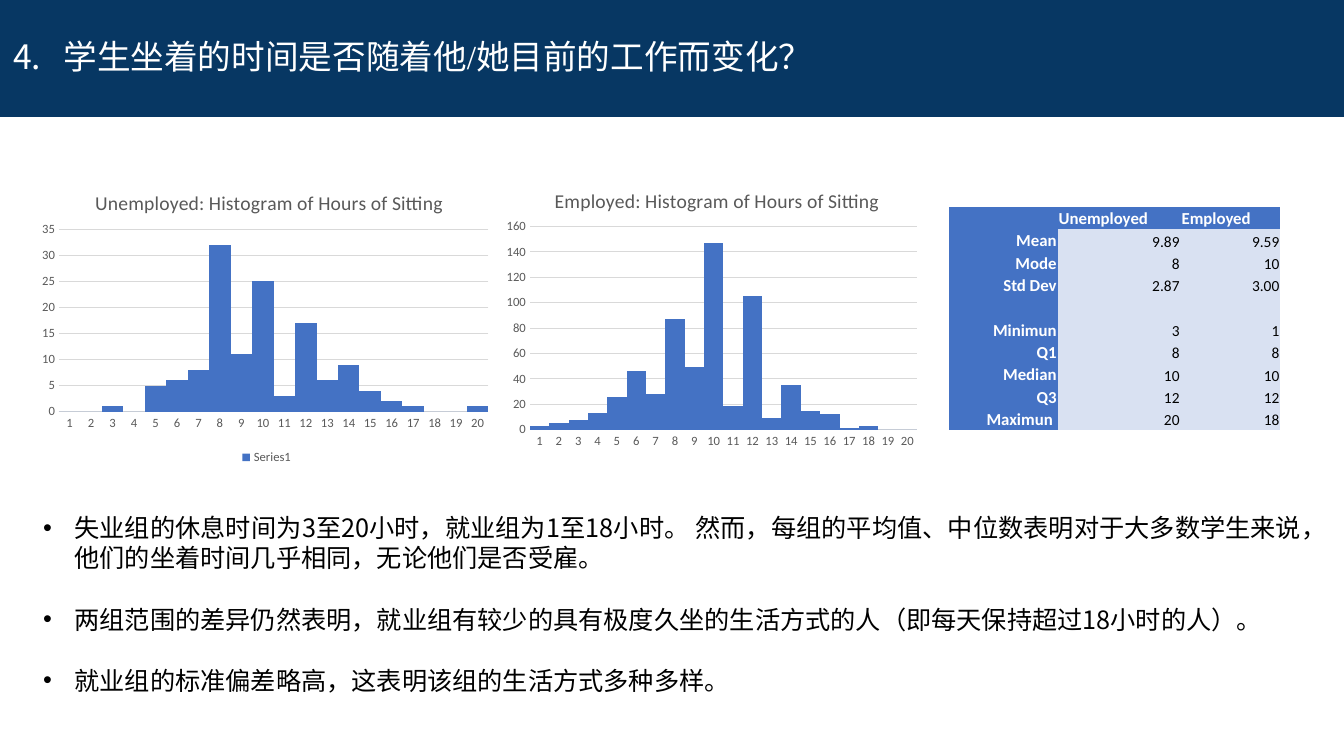
import pptx
import pptx.chart.data
import pptx.dml.color
import pptx.enum.chart
import pptx.enum.text
import pptx.oxml
import pptx.oxml.ns
import pptx.util
from lxml import etree

RGB = pptx.dml.color.RGBColor
NAVY, BLUE, PALE = RGB(0x07, 0x37, 0x63), RGB(0x44, 0x72, 0xC4), RGB(0xD9, 0xE1, 0xF2)
WHITE, BLACK = RGB(0xFF, 0xFF, 0xFF), RGB(0, 0, 0)
GREY, RULE = RGB(0x59, 0x59, 0x59), RGB(0xD9, 0xD9, 0xD9)
SANS, CJK, SERIF = "Calibri", "Noto Sans CJK SC", "Times New Roman"
In, Pt, qn = pptx.util.Inches, pptx.util.Pt, pptx.oxml.ns.qn
ALIGN = pptx.enum.text.PP_ALIGN
ANCHOR = pptx.enum.text.MSO_ANCHOR

# Content
TITLE = "学生坐着的时间是否随着他/她目前的工作而变化？"
FINDINGS = [
    "失业组的休息时间为3至20小时，就业组为1至18小时。 然而，每组的平均值、中位数表明对于大多数学生来说，他们的坐着时间几乎相同，无论他们是否受雇。",
    "两组范围的差异仍然表明，就业组有较少的具有极度久坐的生活方式的人（即每天保持超过18小时的人）。",
    "就业组的标准偏差略高，这表明该组的生活方式多种多样。",
]
HISTOGRAMS = [
    dict(title="Unemployed: Histogram of Hours of Sitting", name="Series1",
         values=[0, 0, 1, 0, 5, 6, 8, 32, 11, 25, 3, 17, 6, 9, 4, 2, 1, 0, 0, 1],
         box=(0.33, 1.68, 4.63, 2.97), top=35, step=5, legend=True,
         title_at=(0.125, 0.055), plot_at=(0.055, 0.2, 0.92, 0.61)),
    dict(title="Employed: Histogram of Hours of Sitting", name="Series 1",
         values=[3, 5, 8, 13, 26, 46, 28, 87, 49, 147, 19, 105, 9, 35, 15, 12, 1, 3, 0, 0],
         box=(4.96, 1.68, 4.22, 2.84), top=160, step=20, legend=False,
         title_at=(0.12, 0.05), plot_at=(0.07, 0.2, 0.91, 0.71)),
]
STATS = [
    ("", "Unemployed", "Employed"),
    ("Mean", "9.89", "9.59"),
    ("Mode", "8", "10"),
    ("Std Dev", "2.87", "3.00"),
    ("", "", ""),
    ("Minimun", "3", "1"),
    ("Q1", "8", "8"),
    ("Median", "10", "10"),
    ("Q3", "12", "12"),
    ("Maximun ", "20", "18"),
]
STAT_COLS, STAT_ROW = (1.08, 1.22, 0.99), 0.222


def set_font(font, **values):
    color = values.pop("color")
    for key, value in values.items():
        setattr(font, key, value)
    font.color.rgb = color


def add_text(p, text, east=None, **values):
    r = p.add_run()
    r.text = text
    set_font(r.font, **values)
    if east:
        etree.SubElement(r.font._element, qn("a:ea"), typeface=east)


def set_bullet(p, indent, tag, font, **attrs):
    pPr = p._p.get_or_add_pPr()
    pPr.set("marL", str(In(indent)))
    pPr.set("indent", str(-In(indent)))
    etree.SubElement(pPr, qn("a:buFont"), typeface=font)
    etree.SubElement(pPr, qn(tag), **attrs)


def place(parent, shares, inner=False):
    """Position a chart part by shares of the chart's size."""
    layout = parent.find(qn("c:layout"))
    if layout is None:
        layout = etree.Element(qn("c:layout"))
        parent.insert(0, layout)
    manual = etree.SubElement(layout, qn("c:manualLayout"))
    pairs = [("layoutTarget", "inner")] if inner else []
    pairs += [("xMode", "edge"), ("yMode", "edge")] + list(zip("xywh", shares))
    for tag, value in pairs:
        etree.SubElement(manual, qn("c:" + tag), val=str(value))


def add_histogram(s, h):
    data = pptx.chart.data.CategoryChartData()
    data.categories = [str(hour) for hour in range(1, len(h["values"]) + 1)]
    data.add_series(h["name"], h["values"])
    kind = pptx.enum.chart.XL_CHART_TYPE.COLUMN_CLUSTERED
    chart = s.shapes.add_chart(kind, *map(In, h["box"]), data).chart
    set_font(chart.font, name=SANS, size=Pt(10), color=BLACK)
    small = dict(name=SANS, size=Pt(9), color=GREY)

    # Title and legend
    chart.has_title = True
    p = chart.chart_title.text_frame.paragraphs[0]
    add_text(p, h["title"], name=SANS, size=Pt(14), bold=False, color=GREY)
    place(chart.chart_title._element, h["title_at"])
    chart.has_legend = h["legend"]
    if h["legend"]:
        chart.legend.position = pptx.enum.chart.XL_LEGEND_POSITION.BOTTOM
        chart.legend.include_in_layout = False
        set_font(chart.legend.font, **small)

    # Bars
    plot = chart.plots[0]
    plot.gap_width, plot.vary_by_categories = 0, False
    fill = plot.series[0].format.fill
    fill.solid()
    fill.fore_color.rgb = BLUE
    place(chart._chartSpace.chart.plotArea, h["plot_at"], inner=True)

    # Axes
    cat, val = chart.category_axis, chart.value_axis
    for axis in (cat, val):
        axis.major_tick_mark = pptx.enum.chart.XL_TICK_MARK.NONE
        set_font(axis.tick_labels.font, **small)
    val.minimum_scale, val.maximum_scale, val.major_unit = 0, h["top"], h["step"]
    val.format.line.fill.background()
    for line in (cat.format.line, val.major_gridlines.format.line):
        line.color.rgb, line.width = RULE, Pt(0.75)


def add_stats(s):
    frame = s.shapes.add_table(len(STATS), len(STAT_COLS), In(9.41), In(2.05),
                               In(sum(STAT_COLS)), In(STAT_ROW * len(STATS)))
    table = frame.table
    style = frame._element.find(".//" + qn("a:tableStyleId"))
    style.text = "{2D5ABB26-0587-4C30-8999-92F81FD0307C}"
    for column, width in zip(table.columns, STAT_COLS):
        column.width = In(width)
    for i, row in enumerate(STATS):
        table.rows[i].height = In(STAT_ROW)
        for j, text in enumerate(row):
            head = i == 0 or j == 0
            cell = table.cell(i, j)
            cell.margin_left = cell.margin_right = cell.margin_top = In(0.01)
            cell.margin_bottom = 0
            cell.vertical_anchor = ANCHOR.BOTTOM
            cell.fill.solid()
            cell.fill.fore_color.rgb = BLUE if head else PALE
            p = cell.text_frame.paragraphs[0]
            p.alignment = ALIGN.LEFT if i == 0 else ALIGN.RIGHT
            if text:
                add_text(p, text, name=SANS, size=Pt(12 if head else 11),
                         bold=head, color=WHITE if head else BLACK)
            else:
                etree.SubElement(p._p, qn("a:endParaRPr"), sz="1100")


def add_title(s):
    sp = s.shapes.title
    sp.left, sp.top, sp.width, sp.height = 0, 0, In(13.33), In(1.16)
    sp.fill.solid()
    sp.fill.fore_color.rgb = NAVY
    tf = sp.text_frame
    tf.word_wrap, tf.vertical_anchor = True, ANCHOR.MIDDLE
    tf.auto_size = pptx.enum.text.MSO_AUTO_SIZE.NONE
    for side in ("left", "right", "top", "bottom"):
        setattr(tf, "margin_" + side, In(0.13))
    p = tf.paragraphs[0]
    p.alignment, p.line_spacing = ALIGN.LEFT, 0.9
    set_bullet(p, 0.5, "a:buAutoNum", CJK, type="arabicPeriod", startAt="4")
    add_text(p, TITLE, CJK, name=SERIF, size=Pt(24), color=WHITE)


def add_findings(s):
    tf = s.shapes.add_textbox(In(0.33), In(5.03), In(12.68), In(1.92)).text_frame
    tf.word_wrap = True
    for i, text in enumerate(FINDINGS):
        p = tf.add_paragraph() if i else tf.paragraphs[0]
        p.alignment, p.line_spacing = ALIGN.JUSTIFY, Pt(21.8)
        p.space_before = Pt(21.8 if i else 0)
        set_bullet(p, 0.31, "a:buChar", "Arial", char="•")
        add_text(p, text, CJK, name=CJK, size=Pt(18), color=BLACK)


def main():
    prs = pptx.Presentation()
    prs.slide_width, prs.slide_height = In(13.33), In(7.5)
    s = prs.slides.add_slide(prs.slide_layouts[5])
    add_title(s)
    add_findings(s)
    for h in HISTOGRAMS:
        add_histogram(s, h)
    add_stats(s)
    prs.save("out.pptx")


if __name__ == "__main__":
    main()
